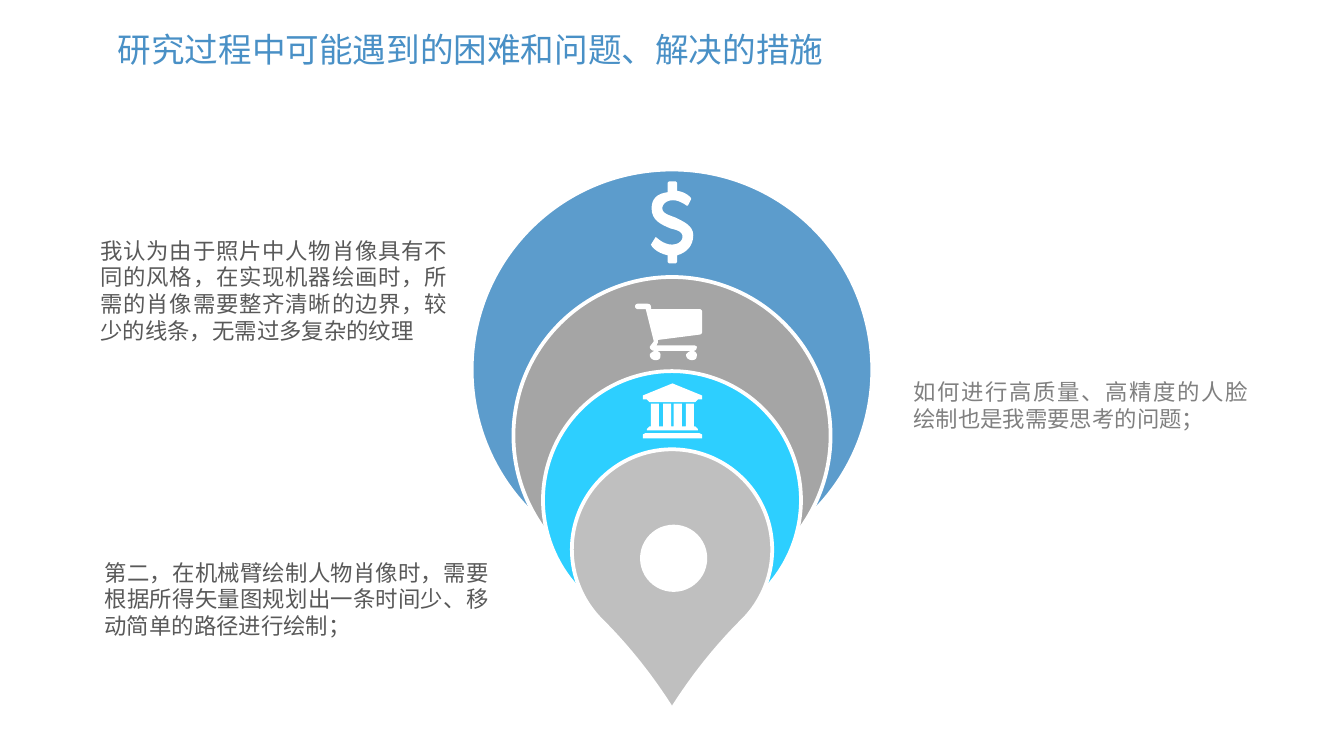
from pptx import Presentation
from pptx.dml.color import RGBColor
from pptx.enum.shapes import MSO_SHAPE
from pptx.enum.text import MSO_AUTO_SIZE, PP_ALIGN
from pptx.util import Pt

TEARDROP = MSO_SHAPE.TEAR
OVAL = MSO_SHAPE.OVAL
GROW = MSO_AUTO_SIZE.SHAPE_TO_FIT_TEXT
JUSTIFY = PP_ALIGN.JUSTIFY
LEFT = PP_ALIGN.LEFT

WHITE = RGBColor(0xFF, 0xFF, 0xFF)
BLUE = RGBColor(0x5C, 0x9C, 0xCC)
GREY = RGBColor(0xA5, 0xA5, 0xA5)
CYAN = RGBColor(0x2D, 0xCF, 0xFF)
SILVER = RGBColor(0xBF, 0xBF, 0xBF)
TITLE_BLUE = RGBColor(0x49, 0x90, 0xC6)
DARK_TEXT = RGBColor(0x59, 0x59, 0x59)
LIGHT_TEXT = RGBColor(0x80, 0x80, 0x80)

FONT = "Arial"
ICON_UNIT = 0.72  # points per icon grid unit
CURVE_STEPS = 8

# Icon contours: a pair is a corner, six numbers are a cubic curve.
DOLLAR = [
    [(20, 55), (20, 60), (19, 61), (14, 61), (13, 60), (13, 55),
     (4, 53, 1, 48, 1, 48), (0.5, 47), (4, 41.5), (5, 42),
     (5, 42, 10, 47, 16, 47), (20, 47, 24, 45, 24, 41),
     (24, 37, 19, 36, 15, 35), (8, 32, 1, 29, 1, 20),
     (1, 13, 5, 9, 13, 8), (13, 1), (14, 0), (19, 0), (20, 1), (20, 7),
     (27, 8, 30, 12, 30, 12), (30.5, 13), (28, 18), (27, 18),
     (27, 18, 22, 14, 17, 14), (12, 14, 9, 17, 9, 20),
     (9, 24, 14, 25, 19, 27), (25, 30, 32, 33, 32, 40),
     (32, 48, 27, 53, 20, 55)],
]


def wheel(x):
    return [(x, 42), (x - 1, 42, x - 4, 41, x - 4, 38),
            (x - 4, 37, x - 1, 35, x, 35), (x + 3, 35, x + 4, 37, x + 4, 38),
            (x + 4, 41, x + 3, 42, x, 42)]


CART = [
    [(50, 21), (50, 22, 49, 23, 48, 23), (17, 27), (17, 29), (16, 31),
     (44, 31), (45, 31, 46, 32, 46, 32), (46, 34, 45, 35, 44, 35), (14, 35),
     (13, 35, 11, 34, 11, 32), (14, 28), (8, 4), (2, 4),
     (1, 4, 0, 3, 0, 2), (0, 1, 1, 0, 2, 0), (9, 0),
     (12, 0, 12, 2, 12, 4), (48, 4), (49, 4, 50, 5, 50, 6)],
    wheel(15), wheel(42),
]

COLUMNS = [(x, y) for left in (6, 15, 23, 32)
           for x, y in ((left, 32), (left, 15), (left + 6, 15), (left + 6, 32))]
BANK = [
    [(44, 9), (44, 12), (41, 12), (39, 14), (5, 14), (3, 12), (0, 12),
     (0, 9), (22, 0)],
    [(44, 38), (44, 41), (0, 41), (0, 38), (2, 37), (42, 37)],
    COLUMNS + [(39, 32), (41, 34), (41, 35), (3, 35), (3, 34), (5, 32)],
]

# colour, top, size
DROPS = [
    (BLUE, 90.8, 214.6),
    (GREY, 148.4, 169.9),
    (CYAN, 198.8, 138.2),
    (SILVER, 240.7, 107.3),
]

# contours, left, top
ICONS = [
    (DOLLAR, 348.4, 97.2),
    (CART, 340.2, 162.7),
    (BANK, 344.4, 205.4),
]


def flatten(contour):
    """Turn corners and curves into a list of points."""
    points = []
    for seg in contour:
        if len(seg) == 2:
            points.append(seg)
            continue
        p0, p1, p2, p3 = points[-1], seg[:2], seg[2:4], seg[4:]
        for i in range(1, CURVE_STEPS + 1):
            t = i / CURVE_STEPS
            u = 1 - t
            points.append(tuple(
                u**3 * a + 3 * u * u * t * b + 3 * u * t * t * c + t**3 * d
                for a, b, c, d in zip(p0, p1, p2, p3)))
    return points


def paint(sp, color):
    sp.shadow.inherit = False
    sp.fill.solid()
    sp.fill.fore_color.rgb = color
    sp.line.fill.background()


def add_icon(s, contours, left, top):
    fb = None
    for contour in contours:
        pts = [(Pt(x * ICON_UNIT), Pt(y * ICON_UNIT)) for x, y in flatten(contour)]
        if fb is None:
            fb = s.shapes.build_freeform(*pts[0])
        else:
            fb.move_to(*pts[0])
        fb.add_line_segments(pts[1:], close=True)
    paint(fb.convert_to_shape(Pt(left), Pt(top)), WHITE)


def add_dot(s, left, top, size):
    paint(s.shapes.add_shape(OVAL, Pt(left), Pt(top), Pt(size), Pt(size)), WHITE)


def add_drop(s, color, center, top, size):
    sp = s.shapes.add_shape(TEARDROP, Pt(center - size / 2), Pt(top), Pt(size), Pt(size))
    sp.adjustments[0] = 1.128
    sp.rotation = 135
    paint(sp, color)
    sp.line.color.rgb = WHITE
    sp.line.width = Pt(2)


def add_nested_drops(s, center):
    for color, top, size in DROPS:
        add_drop(s, color, center, top, size)
    for contours, left, top in ICONS:
        add_icon(s, contours, left, top)
    add_dot(s, 342.9, 281.1, 36)


def add_text(s, text, box, size, color, align):
    sp = s.shapes.add_textbox(*map(Pt, box))
    tf = sp.text_frame
    tf.auto_size = GROW
    p = tf.paragraphs[0]
    p.text = text
    p.alignment = align
    p.font.size = Pt(size)
    p.font.name = FONT
    p.font.color.rgb = color
    return tf


def add_title(s, text, box):
    add_text(s, text, box, 18, TITLE_BLUE, LEFT).word_wrap = False


def add_note(s, text, box, color):
    tf = add_text(s, text, box, 12, color, JUSTIFY)
    tf.word_wrap = True
    tf.margin_left = tf.margin_right = tf.margin_top = tf.margin_bottom = 0


def main():
    prs = Presentation()
    prs.slide_width, prs.slide_height = Pt(720), Pt(405)
    s = prs.slides.add_slide(prs.slide_layouts[6])
    add_nested_drops(s, 360)
    add_note(s, "第二，在机械臂绘制人物肖像时，需要根据所得矢量图规划出一条时间少、移动简单的路径进行绘制；",
             (56, 299.3, 206, 44), DARK_TEXT)
    add_note(s, "如何进行高质量、高精度的人脸绘制也是我需要思考的问题；",
             (489.3, 202.5, 179.3, 29), LIGHT_TEXT)
    add_note(s, "我认为由于照片中人物肖像具有不同的风格，在实现机器绘画时，所需的肖像需要整齐清晰的边界，较少的线条，无需过多复杂的纹理",
             (53.8, 126.8, 185.8, 58), DARK_TEXT)
    add_title(s, "研究过程中可能遇到的困难和问题、解决的措施", (56, 12.2, 392.4, 29))
    prs.save("out.pptx")


if __name__ == "__main__":
    main()
